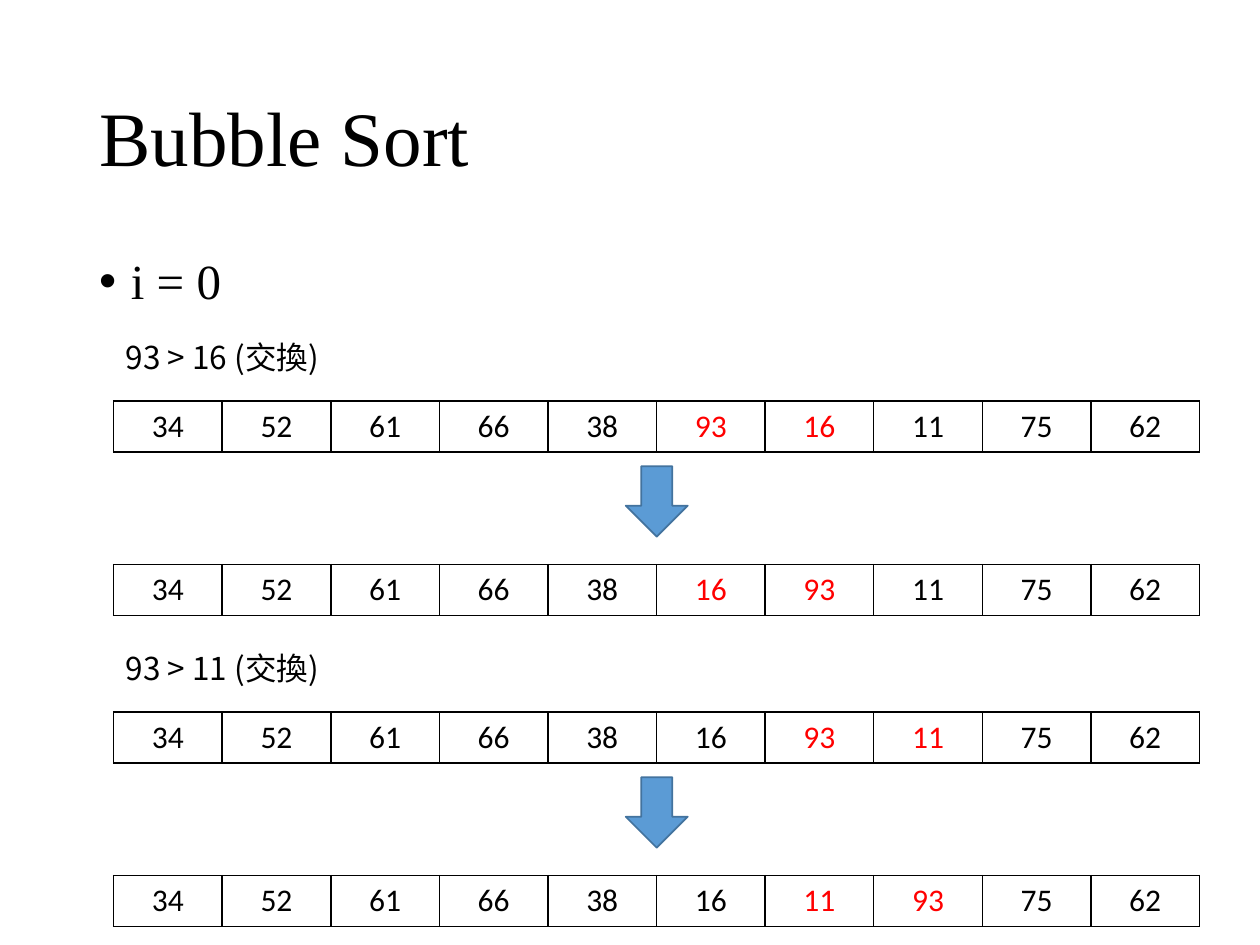
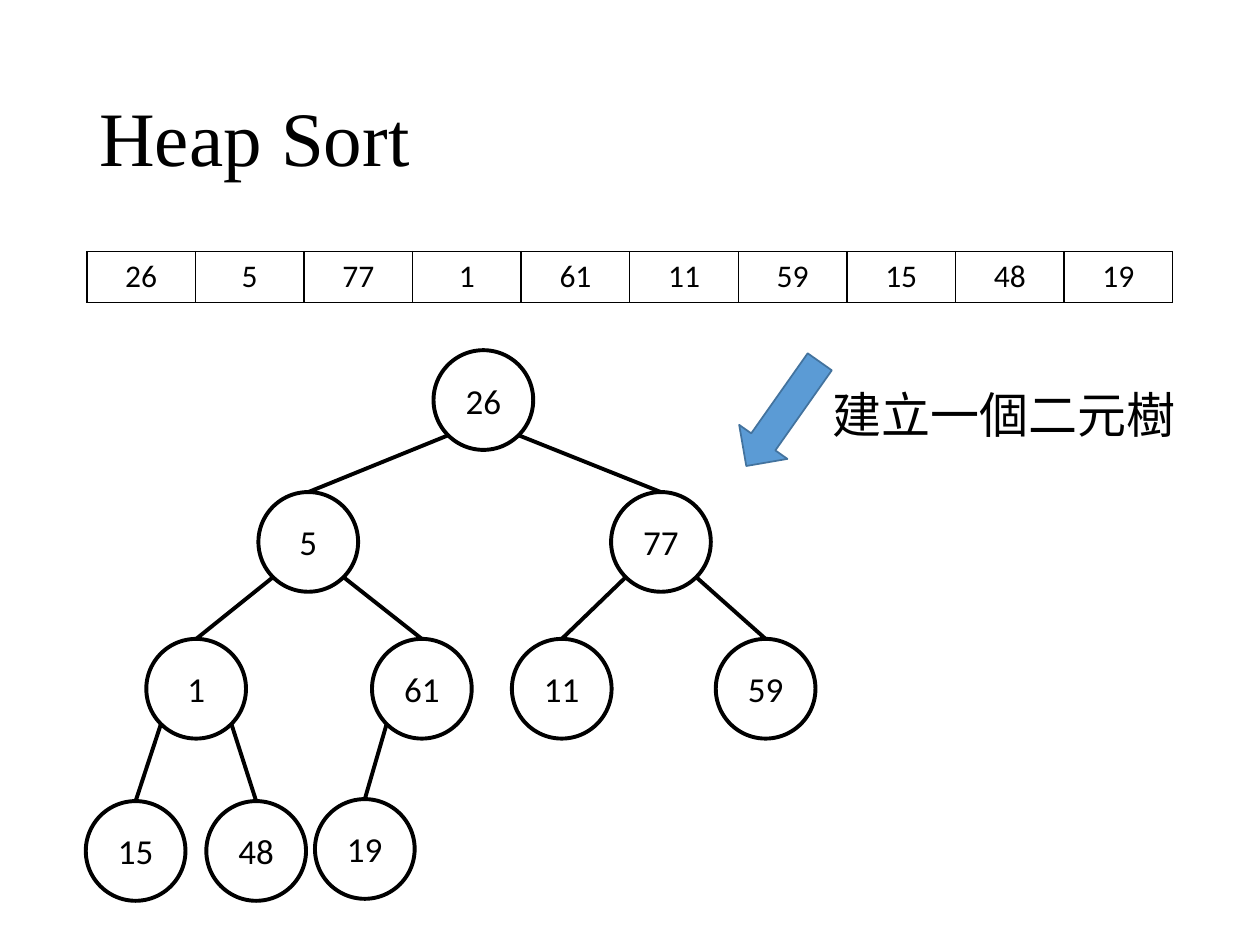
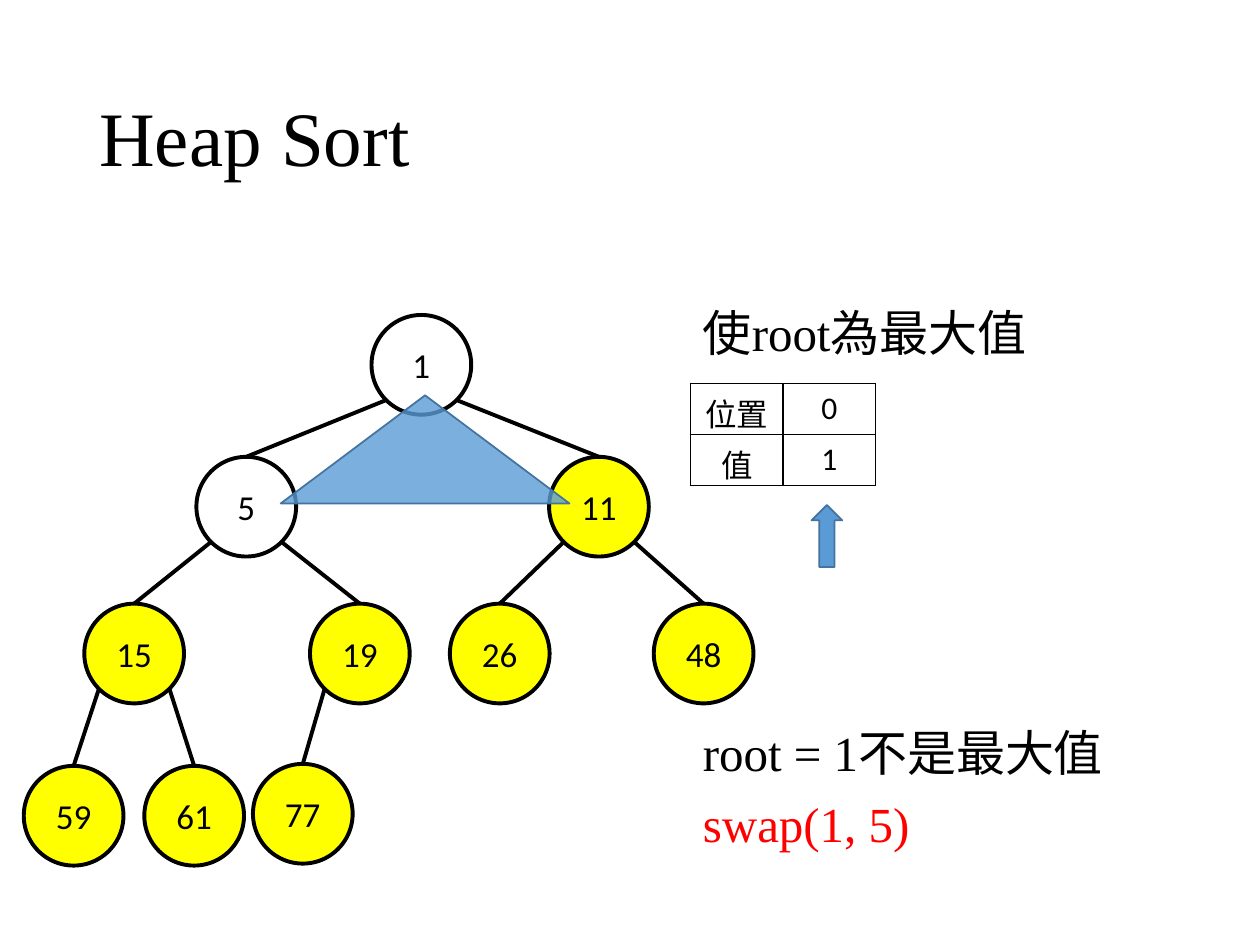
import math

import pptx
import pptx.dml.color
import pptx.enum.shapes
import pptx.enum.text
import pptx.oxml
import pptx.oxml.ns
import pptx.util

Cm = pptx.util.Cm
Pt = pptx.util.Pt
RGBColor = pptx.dml.color.RGBColor
Shapes = pptx.enum.shapes.MSO_SHAPE
Align = pptx.enum.text.PP_ALIGN
Anchor = pptx.enum.text.MSO_ANCHOR
AutoSize = pptx.enum.text.MSO_AUTO_SIZE
qn = pptx.oxml.ns.qn

BLACK = RGBColor(0x00, 0x00, 0x00)
RED = RGBColor(0xFF, 0x00, 0x00)
YELLOW = RGBColor(0xFF, 0xFF, 0x00)
BLUE = RGBColor(0x5B, 0x9B, 0xD5)
DARK_BLUE = RGBColor(0x43, 0x73, 0x9E)

SERIF = "Times New Roman"
SANS = "Calibri"
CHINESE = "Noto Sans CJK SC"

ROW_HEIGHT = 1.03
ARRAY_WIDTH = 21.9
NODE_SIZE = 2.01
NODE_PLACES = [
    (7.01, 0),
    (3.48, 2.86), (10.59, 2.86),
    (1.22, 5.82), (5.77, 5.82), (8.59, 5.82), (12.7, 5.82),
    (0, 9.09), (2.43, 9.09), (4.62, 9.05),
]


def add_element(parent, tag, **attributes):
    """Append a DrawingML element to parent and return it."""
    element = pptx.oxml.parse_xml(f"<{tag} {pptx.oxml.ns.nsdecls('a')}/>")
    for name, value in attributes.items():
        element.set(name, str(value))
    parent.append(element)
    return element


def format_runs(paragraph, size, font_name, color=BLACK):
    """Give every run of a paragraph its size, fonts and colour."""
    for run in paragraph.runs:
        run.font.size = Pt(size)
        run.font.name = font_name
        run.font.color.rgb = color
        add_element(run.font._element, "a:ea", typeface=CHINESE)


def add_title(slide, text):
    """Place and format the slide's title."""
    title = slide.shapes.title
    title.left, title.top, title.width, title.height = Cm(1.75), Cm(1.02), Cm(21.9), Cm(3.68)
    frame = title.text_frame
    frame.text = text
    frame.auto_size = AutoSize.NONE
    frame.vertical_anchor = Anchor.MIDDLE
    paragraph = frame.paragraphs[0]
    paragraph.alignment = Align.LEFT
    paragraph.line_spacing = 0.9
    format_runs(paragraph, 44, SERIF)


def add_body(slide, left, top, width, height, lines, bulleted=False):
    """Write (text, colour) lines as body text."""
    frame = slide.shapes.add_textbox(Cm(left), Cm(top), Cm(width), Cm(height)).text_frame
    frame.word_wrap = True
    for index, (text, color) in enumerate(lines):
        paragraph = frame.add_paragraph() if index else frame.paragraphs[0]
        paragraph.text = text
        paragraph.line_spacing = 0.9
        if index:
            paragraph.space_before = Pt(10)
        if bulleted:
            properties = paragraph._p.get_or_add_pPr()
            properties.set("marL", str(Cm(0.64)))
            properties.set("indent", str(-Cm(0.64)))
            add_element(properties, "a:buFont", typeface="Arial")
            add_element(properties, "a:buChar", char="•")
        format_runs(paragraph, 28, SERIF, color)


def add_label(slide, left, top, text):
    """Write a short unwrapped comparison label."""
    frame = slide.shapes.add_textbox(Cm(left), Cm(top), Cm(5.33), Cm(1.02)).text_frame
    frame.word_wrap = False
    frame.text = text
    format_runs(frame.paragraphs[0], 18, CHINESE)


def add_grid(slide, left, top, width, rows, red_columns=()):
    """Draw rows of values as a black-ruled table."""
    frame = slide.shapes.add_table(
        len(rows), len(rows[0]), Cm(left), Cm(top), Cm(width), Cm(ROW_HEIGHT * len(rows)))
    table = frame.table
    table.first_row = False
    table.horz_banding = False
    for row_index, row in enumerate(rows):
        for column, value in enumerate(row):
            cell = table.cell(row_index, column)
            cell.text = str(value)
            cell.vertical_anchor = Anchor.MIDDLE
            paragraph = cell.text_frame.paragraphs[0]
            paragraph.alignment = Align.CENTER
            format_runs(paragraph, 18, SANS, RED if column in red_columns else BLACK)
            properties = cell._tc.get_or_add_tcPr()
            for side in ("a:lnL", "a:lnR", "a:lnT", "a:lnB"):
                border = add_element(properties, side, w=Pt(1))
                fill = add_element(border, "a:solidFill")
                add_element(fill, "a:srgbClr", val=BLACK)
            cell.fill.background()


def add_marker(slide, kind, left, top, width, height, rotation=0):
    """Draw a blue arrow or triangle."""
    marker = slide.shapes.add_shape(kind, Cm(left), Cm(top), Cm(width), Cm(height))
    marker.shadow.inherit = False
    marker.rotation = rotation
    marker.fill.solid()
    marker.fill.fore_color.rgb = BLUE
    marker.line.color.rgb = DARK_BLUE
    marker.line.width = Pt(1)
    return marker


def add_node(slide, left, top, value, highlighted):
    """Draw one circular tree node."""
    node = slide.shapes.add_shape(
        Shapes.OVAL, Cm(left), Cm(top), Cm(NODE_SIZE), Cm(NODE_SIZE))
    node.shadow.inherit = False
    if highlighted:
        node.fill.solid()
        node.fill.fore_color.rgb = YELLOW
    else:
        node.fill.background()
    node.line.color.rgb = BLACK
    node.line.width = Pt(2.25)
    frame = node.text_frame
    frame.text = str(value)
    frame.vertical_anchor = Anchor.MIDDLE
    paragraph = frame.paragraphs[0]
    paragraph.alignment = Align.CENTER
    format_runs(paragraph, 20, SANS)
    return node


def add_branch(slide, parent, child, side):
    """Join a parent's lower left (-1) or right (1) edge to its child's top."""
    radius = parent.width / 2
    reach = radius * math.sqrt(0.5)
    start_x = int(parent.left + radius + side * reach)
    start_y = int(parent.top + radius + reach)
    branch = slide.shapes.add_connector(
        pptx.enum.shapes.MSO_CONNECTOR.STRAIGHT, start_x, start_y, child.left, child.top)
    branch.end_connect(child, 0)
    branch.line.color.rgb = BLACK
    branch.line.width = Pt(2.25)
    add_element(branch._element.find(qn("p:spPr")), "a:effectLst")


def add_tree(slide, left, top, values, highlighted=()):
    """Draw values in heap order as a binary tree."""
    nodes = [add_node(slide, left + x, top + y, value, value in highlighted)
             for (x, y), value in zip(NODE_PLACES, values)]
    for index in range(1, len(nodes)):
        add_branch(slide, nodes[(index - 1) // 2], nodes[index], -1 if index % 2 else 1)


def add_swap_step(slide, left, top, values, position):
    """Show one exchange of neighbours and return the new order."""
    first, second = values[position:position + 2]
    swapped = values[:position] + [second, first] + values[position + 2:]
    red_columns = (position, position + 1)
    add_label(slide, left, top, f"{first} > {second} (交換)")
    add_grid(slide, left, top + 1.4, ARRAY_WIDTH, [values], red_columns)
    arrow_width = 1.25
    add_marker(slide, Shapes.DOWN_ARROW, left + (ARRAY_WIDTH - arrow_width) / 2,
               top + 2.72, arrow_width, 1.42)
    add_grid(slide, left, top + 4.7, ARRAY_WIDTH, [swapped], red_columns)
    return swapped


def new_slide(presentation, title):
    """Add a title-only slide."""
    slide = presentation.slides.add_slide(presentation.slide_layouts[5])
    add_title(slide, title)
    return slide


def build_bubble_sort(presentation):
    """Build the slide with two bubble sort exchanges."""
    slide = new_slide(presentation, "Bubble Sort")
    add_body(slide, 1.75, 5.05, 21.9, 1.5, [("i = 0", BLACK)], bulleted=True)
    values = [34, 52, 61, 66, 38, 93, 16, 11, 75, 62]
    for step, position in enumerate((5, 6)):
        values = add_swap_step(slide, 2.29, 6.68 + 6.27 * step, values, position)


def build_heap_creation(presentation):
    """Build the slide that turns an array into a binary tree."""
    slide = new_slide(presentation, "Heap Sort")
    values = [26, 5, 77, 1, 61, 11, 59, 15, 48, 19]
    add_body(slide, 16.54, 7.77, 8.74, 1.55, [("建立一個二元樹", BLACK)])
    add_grid(slide, 1.75, 5.07, ARRAY_WIDTH, [values])
    add_tree(slide, 1.73, 7.06, values)
    add_marker(slide, Shapes.DOWN_ARROW, 15.19, 7.06, 1.19, 2.57, rotation=35.2)


def build_heap_root(presentation):
    """Build the slide that compares the root with its children."""
    slide = new_slide(presentation, "Heap Sort")
    add_body(slide, 13.92, 6.1, 10.08, 1.55, [("使root為最大值", BLACK)])
    add_marker(slide, Shapes.UP_ARROW, 16.36, 10.18, 0.62, 1.25)
    add_grid(slide, 13.92, 7.73, 3.73, [("位置", 0), ("值", 1)])
    add_body(slide, 13.92, 14.58, 10.08, 3.81,
             [("root = 1不是最大值", BLACK), ("swap(1, 5)", RED)])
    values = [1, 5, 11, 15, 19, 26, 48, 59, 61, 77]
    add_tree(slide, 0.48, 6.35, values, highlighted=values[2:])
    triangle = add_marker(slide, Shapes.ISOSCELES_TRIANGLE, 5.66, 7.97, 5.82, 2.18)
    color = triangle._element.spPr.find(qn("a:solidFill")).find(qn("a:srgbClr"))
    add_element(color, "a:alpha", val=80000)


def main():
    """Build and save the presentation."""
    presentation = pptx.Presentation()
    presentation.slide_width = Cm(25.4)
    presentation.slide_height = Cm(19.05)
    build_bubble_sort(presentation)
    build_heap_creation(presentation)
    build_heap_root(presentation)
    presentation.save("out.pptx")


if __name__ == "__main__":
    main()
